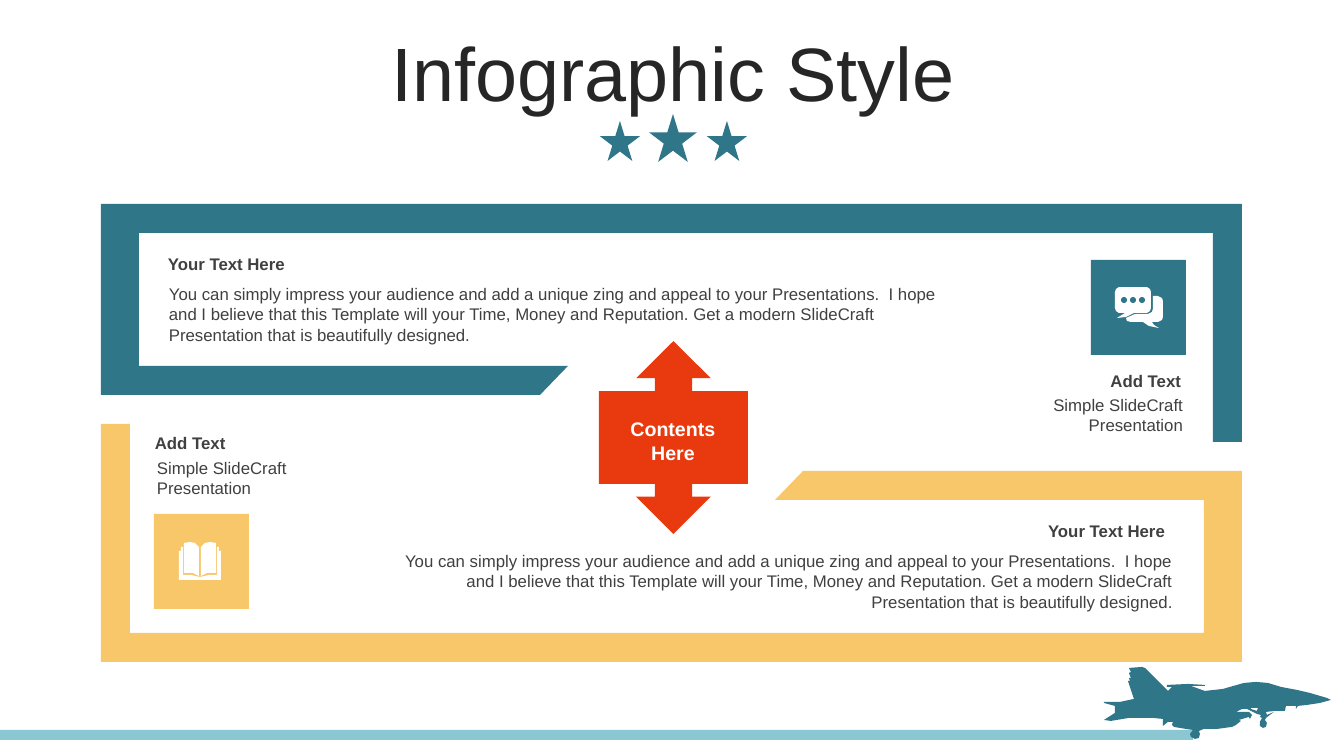
from pptx import Presentation
from pptx.dml.color import RGBColor
from pptx.enum.shapes import MSO_SHAPE as Preset
from pptx.enum.text import MSO_ANCHOR as Anchor, MSO_AUTO_SIZE as AutoSize, PP_ALIGN as Align
from pptx.util import Pt

PX = 914400 / 100.8  # EMU per px
SLIDE = (1344, 756)
FONT = "Arial"
COLOURS = {
    "teal": "307689", "yellow": "F7C76A", "red": "E93A0F", "sky": "8AC7D3",
    "white": "FFFFFF", "title": "262626", "text": "404040",
}

TITLE = "Infographic Style"
TITLE_BOX = (35, 37, 1276, 80)
HEADING = "Your Text Here"
MESSAGE = (
    "You can simply impress your audience and add a unique zing and appeal to your "
    "Presentations.  I hope and I believe that this Template will your Time, Money and "
    "Reputation. Get a modern SlideCraft Presentation that is beautifully designed."
)
CAPTION = "Add Text"
CAPTION_NOTE = "Simple SlideCraft Presentation"
CENTRE_LINES = ["Contents", "Here"]
CENTRE_BOX = (617, 412, 112, 57)

# left, top, width, height, wording, bold, alignment
TEXTS = [
    (159, 279, 806, 72, MESSAGE, False, Align.LEFT),
    (158, 249, 800, 30, HEADING, True, Align.LEFT),
    (384, 546, 799, 72, MESSAGE, False, Align.RIGHT),
    (382, 516, 793, 30, HEADING, True, Align.RIGHT),
    (1001, 366, 190, 30, CAPTION, True, Align.RIGHT),
    (1003, 390, 190, 50, CAPTION_NOTE, False, Align.RIGHT),
    (145, 428, 190, 30, CAPTION, True, Align.LEFT),
    (147, 453, 190, 50, CAPTION_NOTE, False, Align.LEFT),
]

# preset, left, top, width, height, colour, rotation
PRESETS = [
    (Preset.STAR_5_POINT, 649, 114, 48, 48, "teal", 0),
    (Preset.STAR_5_POINT, 707, 121, 40, 40, "teal", 0),
    (Preset.STAR_5_POINT, 600, 121, 40, 40, "teal", 0),
    (Preset.RECTANGLE, 0, 730, 1193, 10, "sky", 0),
    (Preset.RECTANGLE, 154, 514, 95, 95, "yellow", 0),
    (Preset.RECTANGLE, 1091, 260, 95, 95, "teal", 0),
    (Preset.LEFT_RIGHT_ARROW_CALLOUT, 577, 363, 193, 149, "red", 90),
]

LOWER_FRAME = [
    (101, 424), (130, 424), (130, 633), (1204, 633), (1204, 500),
    (775, 500), (803, 471), (1242, 471), (1242, 662), (101, 662),
]
FRAME_SUM = (1343, 866)  # twice the centre both frames turn about

LEFT_PAGE = [(184, 543), (190, 542), (195, 543), (199, 547), (199, 576), (193, 573), (184, 573)]
LEFT_COVER = [
    (181, 547), (183, 547), (183, 575), (191, 575), (200, 577),
    (200, 580), (179, 580), (179, 551), (181, 551),
]
SPINE_SUM = 400  # twice the x of the book's spine

FRONT_BUBBLE = [
    (1119, 287), (1147, 287), (1150, 289), (1151, 292), (1151, 308), (1150, 311),
    (1147, 313), (1134, 313), (1126, 317), (1117, 318), (1125, 313), (1119, 313),
    (1116, 311), (1115, 308), (1115, 292), (1116, 289),
]
BACK_BUBBLE = [
    (1153, 296), (1158, 296), (1162, 298), (1163, 301), (1163, 317), (1162, 320),
    (1158, 322), (1152, 322), (1154, 325), (1159, 328), (1149, 326), (1143, 322),
    (1131, 322), (1127, 321), (1126, 318), (1135, 314), (1148, 314), (1152, 312),
    (1153, 309),
]
DOT_LEFT, DOT_TOP, DOT_SIZE, DOT_STEP, DOT_COUNT = 1121, 297, 6, 9, 3

PLANE = [
    (1104, 720), (1111, 721), (1129, 718), (1153, 718), (1163, 719), (1163, 726),
    (1168, 722), (1173, 722), (1172, 725), (1174, 727), (1186, 729), (1193, 730),
    (1190, 734), (1191, 737), (1195, 739), (1199, 738), (1200, 734), (1199, 731),
    (1204, 729), (1217, 729), (1232, 727), (1236, 725), (1241, 721), (1239, 720),
    (1249, 717), (1250, 719), (1252, 715), (1249, 712), (1236, 712), (1242, 709),
    (1247, 709), (1257, 714), (1261, 715), (1260, 717), (1262, 718), (1260, 722),
    (1260, 726), (1263, 728), (1266, 727), (1267, 723), (1265, 720), (1266, 718),
    (1274, 712), (1267, 715), (1266, 712), (1275, 711), (1285, 711), (1286, 706),
    (1296, 706), (1296, 709), (1298, 706), (1307, 705), (1320, 703), (1331, 700),
    (1327, 698), (1310, 693), (1297, 690), (1281, 687), (1268, 683), (1256, 682),
    (1244, 683), (1230, 687), (1223, 689), (1205, 691), (1202, 690), (1191, 686),
    (1205, 686), (1205, 685), (1188, 684), (1167, 685), (1167, 687), (1172, 687),
    (1168, 691), (1145, 668), (1142, 667), (1129, 668), (1131, 672), (1129, 673),
    (1131, 678), (1129, 678), (1130, 681), (1128, 681), (1134, 699), (1120, 702),
    (1104, 702), (1104, 703), (1115, 706), (1115, 713),
]
WHEEL_GAP = [(1251, 709), (1251, 708), (1258, 708), (1257, 711)]


def emu(*lengths):
    return [round(length * PX) for length in lengths]


def rgb(colour):
    return RGBColor.from_string(COLOURS[colour])


def paint(shape, colour):
    shape.shadow.inherit = False
    shape.fill.solid()
    shape.fill.fore_color.rgb = rgb(colour)
    shape.line.fill.background()


def add_preset(shapes, preset, left, top, width, height, colour, rotation=0):
    shape = shapes.add_shape(preset, *emu(left, top, width, height))
    shape.rotation = rotation
    paint(shape, colour)


def add_outline(shapes, contours, colour):
    """Draw closed contours as one freeform."""
    first, *others = contours
    builder = shapes.build_freeform(*first[0], scale=PX)
    builder.add_line_segments(first[1:], close=True)
    for contour in others:
        builder.move_to(*contour[0])
        builder.add_line_segments(contour[1:], close=True)
    paint(builder.convert_to_shape(), colour)


def style(paragraph, size, colour, bold, align):
    paragraph.alignment = align
    font = paragraph.font
    font.name, font.size, font.bold = FONT, Pt(size), bold
    font.color.rgb = rgb(colour)


def add_text(shapes, box, lines, size, colour, bold, align):
    frame = shapes.add_textbox(*emu(*box)).text_frame
    frame.word_wrap = True
    frame.auto_size = AutoSize.SHAPE_TO_FIT_TEXT
    frame.text = "\n".join(lines)
    for paragraph in frame.paragraphs:
        style(paragraph, size, colour, bold, align)


def add_title(title):
    title.left, title.top, title.width, title.height = emu(*TITLE_BOX)
    frame = title.text_frame
    frame.text = TITLE
    frame.auto_size = AutoSize.NONE
    frame.vertical_anchor = Anchor.MIDDLE
    style(frame.paragraphs[0], 54, "title", False, Align.CENTER)
    frame.paragraphs[0].line_spacing = 0.9


def main():
    deck = Presentation()
    deck.slide_width, deck.slide_height = emu(*SLIDE)
    slide = deck.slides.add_slide(deck.slide_layouts[5])
    shapes = slide.shapes
    add_title(shapes.title)

    for preset in PRESETS:
        add_preset(shapes, *preset)
    add_outline(shapes, [PLANE, WHEEL_GAP], "teal")

    upper_frame = [(FRAME_SUM[0] - x, FRAME_SUM[1] - y) for x, y in LOWER_FRAME]
    add_outline(shapes, [LOWER_FRAME], "yellow")
    add_outline(shapes, [upper_frame], "teal")

    left_half = [LEFT_PAGE, LEFT_COVER]
    right_half = [[(SPINE_SUM - x, y) for x, y in part] for part in left_half]
    add_outline(shapes, left_half + right_half, "white")

    add_outline(shapes, [FRONT_BUBBLE, BACK_BUBBLE], "white")
    for i in range(DOT_COUNT):
        add_preset(shapes, Preset.OVAL, DOT_LEFT + i * DOT_STEP, DOT_TOP,
                   DOT_SIZE, DOT_SIZE, "teal")

    for *box, wording, bold, align in TEXTS:
        add_text(shapes, box, [wording], 12, "text", bold, align)
    add_text(shapes, CENTRE_BOX, CENTRE_LINES, 14, "white", True, Align.CENTER)
    deck.save("out.pptx")


if __name__ == "__main__":
    main()
